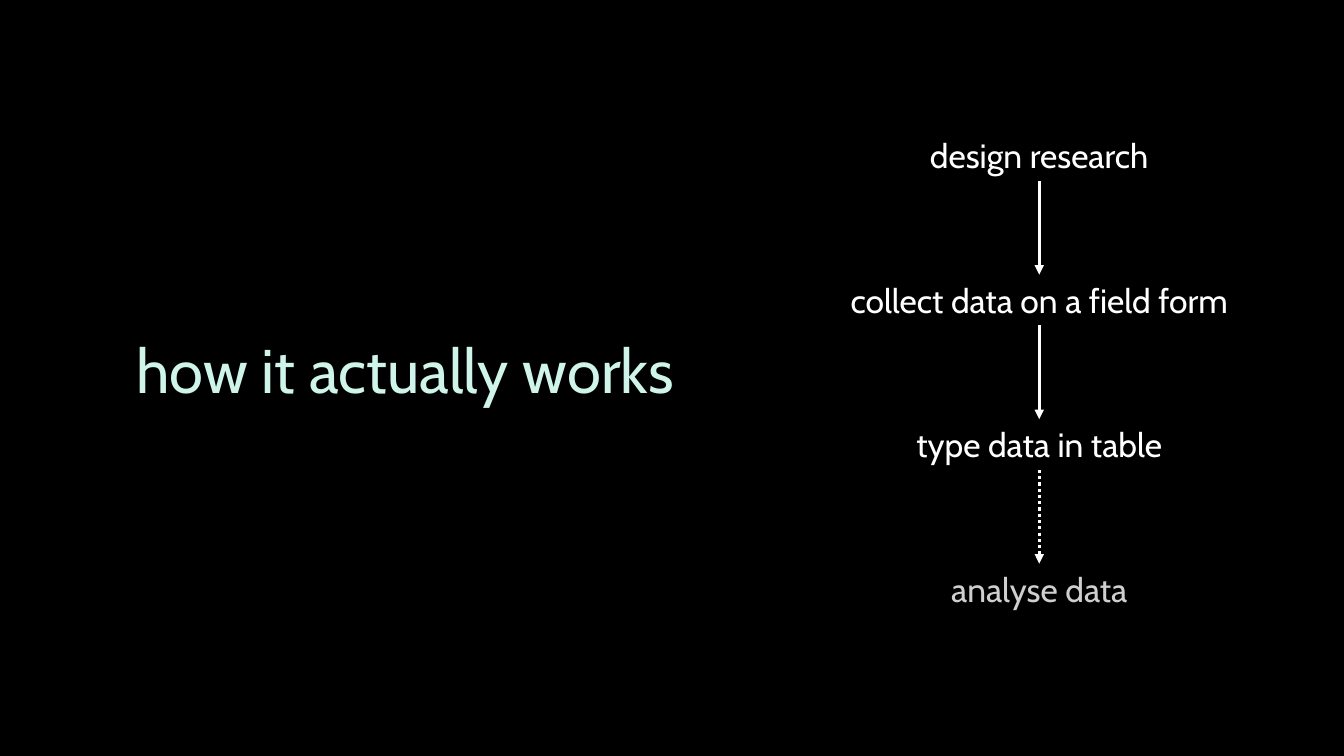
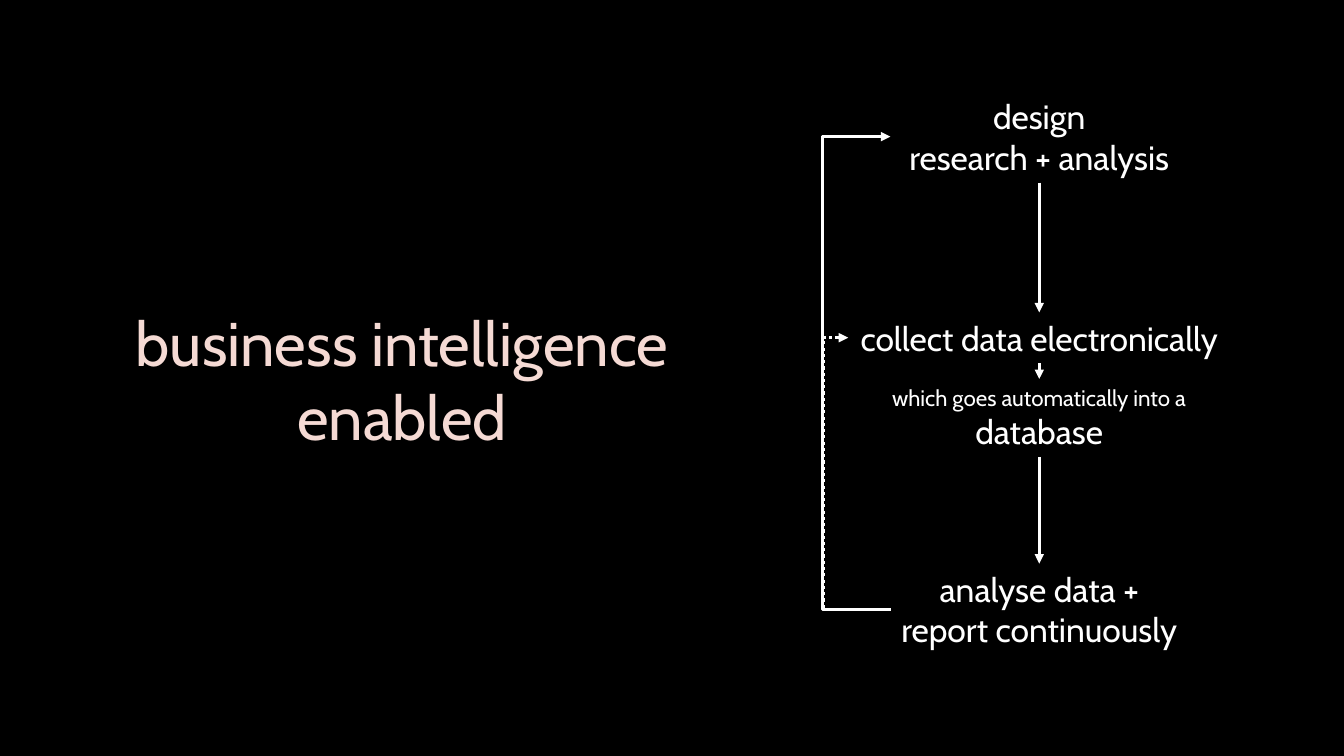
from lxml import etree
from pptx import Presentation
from pptx.dml.color import RGBColor
from pptx.enum.dml import MSO_LINE
from pptx.enum.shapes import MSO_CONNECTOR
from pptx.enum.text import MSO_ANCHOR, MSO_AUTO_SIZE, PP_ALIGN
from pptx.oxml.ns import qn
from pptx.util import Cm, Pt

BLACK = RGBColor(0x00, 0x00, 0x00)
WHITE = RGBColor(0xFF, 0xFF, 0xFF)
GREY = RGBColor(0xD0, 0xCE, 0xCE)
MINT = RGBColor(0xCF, 0xF4, 0xEA)
ROSE = RGBColor(0xF5, 0xDA, 0xD4)

FONT = "Cabin"
BIG, MID, SMALL = 44, 24, 16
MIDX = 26.19
ROW = 1.28
TOP, STEP = 3.28, 3.64
STRAIGHT, ELBOW = MSO_CONNECTOR.STRAIGHT, MSO_CONNECTOR.ELBOW
DOTS = MSO_LINE.ROUND_DOT
CENTER, MIDDLE = PP_ALIGN.CENTER, MSO_ANCHOR.MIDDLE
GROW = MSO_AUTO_SIZE.SHAPE_TO_FIT_TEXT

# lines: (text, size); step: lines, colour, top, width, height
SLIDES = [
    {
        "title": ["how it actually works"],
        "color": MINT,
        "frame": (2.95, 8.23, 14.53, 2.13),
        "steps": [
            ([("design research", MID)], WHITE, TOP, 6.25, ROW),
            ([("collect data on a field form", MID)], WHITE,
             TOP + STEP, 10.13, ROW),
            ([("type data in table", MID)], WHITE, TOP + 2 * STEP, 6.78, ROW),
            ([("analyse data", MID)], GREY, TOP + 3 * STEP, 5.13, ROW),
        ],
        "dotted": {2},
        "loops": [],
    },
    {
        "title": ["business intelligence", "enabled"],
        "color": ROSE,
        "frame": (2.87, 7.54, 14.53, 4.01),
        "steps": [
            ([("design", MID), ("research + analysis", MID)], WHITE,
             2.29, 7.5, 2.31),
            ([("collect data electronically", MID)], WHITE, 7.87, 9.63, ROW),
            ([("which goes automatically into a", SMALL), ("database", MID)],
             WHITE, 9.55, 8.03, 1.96),
            ([("analyse data +", MID), ("report continuously", MID)], WHITE,
             14.2, 7.48, 2.31),
        ],
        "dotted": set(),
        "loops": [(3, 0, 20.73, False), (3, 1, 20.75, True)],
    },
]


def write(shape, lines, color):
    frame = shape.text_frame
    frame.word_wrap = False
    frame.auto_size = GROW
    frame.vertical_anchor = MIDDLE
    para = frame.paragraphs[0]
    para.alignment = CENTER
    for i, (text, size) in enumerate(lines):
        if i:
            para.add_line_break()
        run = para.add_run()
        run.text = text
        run.font.name = FONT
        run.font.size = Pt(size)
        run.font.color.rgb = color


def add_step(slide, lines, color, top, width, height):
    left = MIDX - width / 2
    box = slide.shapes.add_textbox(Cm(left), Cm(top), Cm(width), Cm(height))
    write(box, lines, color)
    return box


def style(link, dotted):
    link.line.color.rgb = WHITE
    link.line.width = Pt(2.25)
    if dotted:
        link.line.dash_style = DOTS
    props = link.element.spPr
    etree.SubElement(props.find(qn("a:ln")), qn("a:tailEnd"), type="triangle")
    etree.SubElement(props, qn("a:effectLst"))


def add_arrow(slide, start, end, dotted):
    link = slide.shapes.add_connector(STRAIGHT, 0, 0, 0, 0)
    link.begin_connect(start, 2)
    link.end_connect(end, 0)
    style(link, dotted)


def add_loop(slide, start, end, via, dotted):
    ends = [(box.left, box.top + box.height // 2) for box in (start, end)]
    (x1, y1), (x2, y2) = ends
    link = slide.shapes.add_connector(ELBOW, x1, y1, x2, y2)
    bend = round((Cm(via) - x1) / (x2 - x1) * 100000)
    guides = link.element.spPr.find(qn("a:prstGeom")).find(qn("a:avLst"))
    etree.SubElement(guides, qn("a:gd"), name="adj1", fmla=f"val {bend}")
    style(link, dotted)


def add_slide(deck, page):
    slide = deck.slides.add_slide(deck.slide_layouts[5])
    title = slide.shapes.title
    title.left, title.top, title.width, title.height = map(Cm, page["frame"])
    write(title, [(text, BIG) for text in page["title"]], page["color"])
    boxes = [add_step(slide, *step) for step in page["steps"]]
    for i, (start, end) in enumerate(zip(boxes, boxes[1:])):
        add_arrow(slide, start, end, i in page["dotted"])
    for start, end, via, dotted in page["loops"]:
        add_loop(slide, boxes[start], boxes[end], via, dotted)


def main():
    deck = Presentation()
    deck.slide_width, deck.slide_height = Cm(33.87), Cm(19.05)
    back = deck.slide_master.background.fill
    back.solid()
    back.fore_color.rgb = BLACK
    for page in SLIDES:
        add_slide(deck, page)
    deck.save("out.pptx")


if __name__ == "__main__":
    main()
